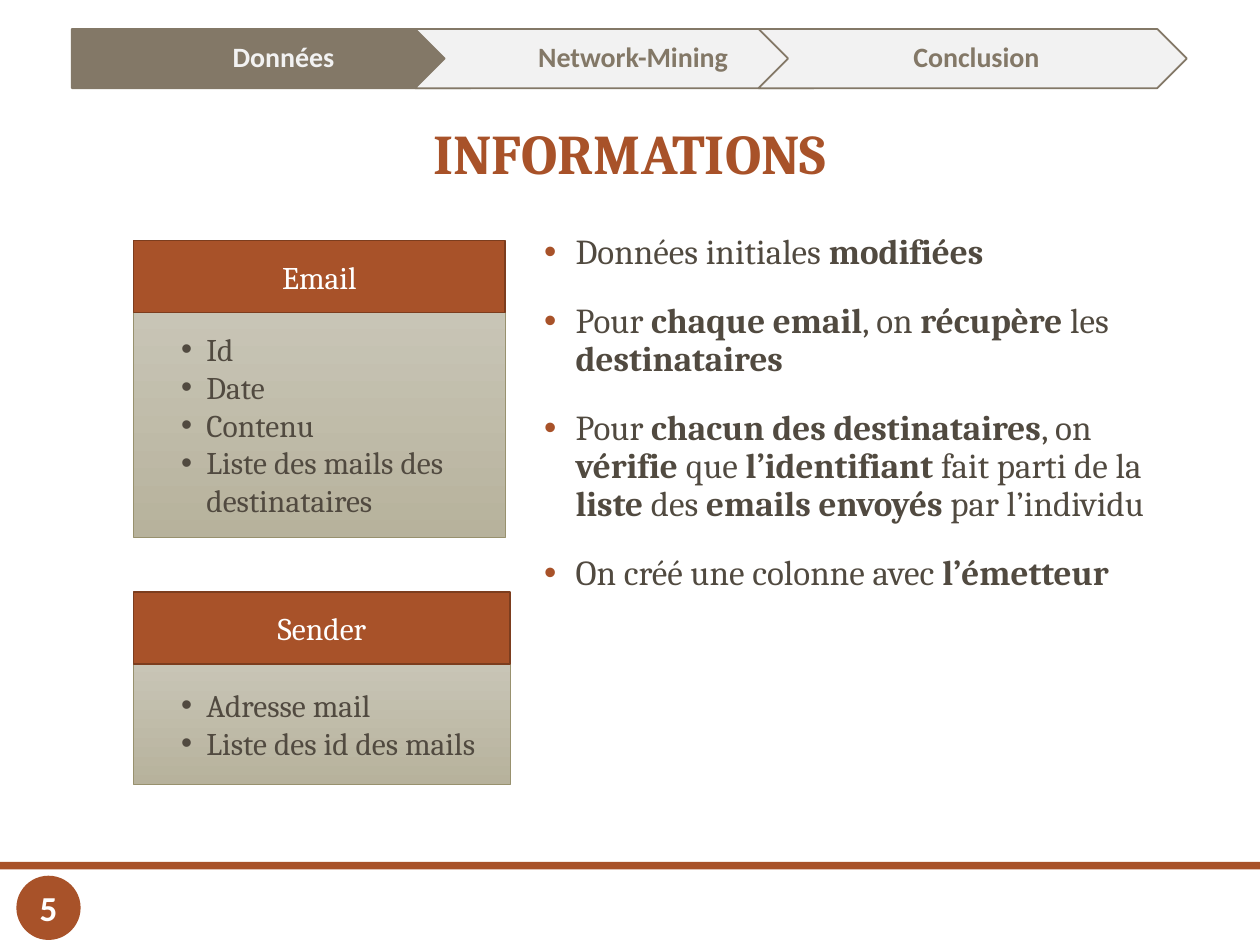
from dataclasses import dataclass

from lxml import etree
from pptx import Presentation
from pptx.dml.color import RGBColor
from pptx.enum.shapes import MSO_SHAPE
from pptx.enum.text import MSO_ANCHOR, PP_ALIGN
from pptx.oxml.ns import qn
from pptx.util import Inches, Pt

RECT, OVAL = MSO_SHAPE.RECTANGLE, MSO_SHAPE.OVAL
PENTAGON, CHEVRON = MSO_SHAPE.PENTAGON, MSO_SHAPE.CHEVRON
TOP, MIDDLE = MSO_ANCHOR.TOP, MSO_ANCHOR.MIDDLE
LEFT, CENTER = PP_ALIGN.LEFT, PP_ALIGN.CENTER
COLS, ROWS = 100, 75


@dataclass(frozen=True)
class Theme:
    accent: str = "A85229"
    accent_edge: str = "7C3D1E"
    ink: str = "514A40"
    taupe: str = "837867"
    pale: str = "F2F2F2"
    white: str = "FFFFFF"
    card_top: str = "C8C5B6"
    card_bottom: str = "B7B29C"
    card_edge: str = "98916E"
    serif: str = "Cambria"
    sans: str = "Calibri"
    title: int = 32
    body: int = 20
    card: int = 18
    nav: int = 16


T = Theme()


@dataclass(frozen=True)
class Box:
    col: float
    row: float
    cols: float
    rows: float


@dataclass(frozen=True)
class Style:
    name: str
    size: int
    color: str
    bold: bool = False
    align: PP_ALIGN = CENTER
    anchor: MSO_ANCHOR = MIDDLE
    spacing: float = 1.0
    before: int = 0
    bullet: str = ""
    margin: float = 0
    hanging: float = 0
    insets: tuple[float, ...] = (0.1, 0.05, 0.1, 0.05)


@dataclass(frozen=True)
class Step:
    label: str
    kind: MSO_SHAPE
    fill: str
    color: str
    text_shift: float
    text_cols: float
    inset: float


@dataclass(frozen=True)
class Card:
    title: str
    row: float
    cols: float
    body_rows: float
    items: tuple[str, ...]


TITLE = Style(T.serif, T.title, T.accent, bold=True, anchor=TOP)
NUMBER = Style(T.sans, T.body, T.white, bold=True, insets=(0, 0, 0, 0))
HEADER = Style(T.serif, T.card, T.white)
ITEM = Style(T.serif, T.card, T.ink, align=LEFT, bullet=T.ink,
             margin=0.48, hanging=0.2)
POINT = Style(T.serif, T.body, T.ink, align=LEFT, anchor=TOP, spacing=0.9,
              before=18, bullet=T.accent, margin=0.3, hanging=0.25)

STEPS = (
    Step("Données", PENTAGON, T.taupe, T.pale, 0, 32.9, 0.09),
    Step("Network-Mining", CHEVRON, T.pale, T.taupe, 2.35, 29.4, 0.07),
    Step("Conclusion", CHEVRON, T.pale, T.taupe, 2.35, 29.4, 0.07),
)
CARDS = (
    Card("Email", 19.1, 29.5, 18,
         ("Id", "Date", "Contenu", "Liste des mails des destinataires")),
    Card("Sender", 47, 29.9, 9.7, ("Adresse mail", "Liste des id des mails")),
)
POINTS = (
    "Données initiales *modifiées*",
    "Pour *chaque email*, on *récupère* les *destinataires*",
    "Pour *chacun des destinataires*, on *vérifie* que *l’identifiant* "
    "fait parti de la *liste* des *emails envoyés *par l’individu",
    "On créé une colonne avec *l’émetteur*",
)


def rgb(color: str) -> RGBColor:
    return RGBColor.from_string(color)


def place(box: Box) -> tuple[int, ...]:
    return (int(prs.slide_width * box.col / COLS),
            int(prs.slide_height * box.row / ROWS),
            int(prs.slide_width * box.cols / COLS),
            int(prs.slide_height * box.rows / ROWS))


def add_bullet(p, style: Style) -> None:
    pPr = p._p.get_or_add_pPr()
    pPr.set("marL", str(Inches(style.margin)))
    pPr.set("indent", str(-Inches(style.hanging)))
    clr = etree.SubElement(pPr, qn("a:buClr"))
    etree.SubElement(clr, qn("a:srgbClr"), val=style.bullet)
    etree.SubElement(pPr, qn("a:buFont"), typeface="Arial")
    etree.SubElement(pPr, qn("a:buChar"), char="•")


def write(sp, lines: tuple[str, ...], style: Style) -> None:
    tf = sp.text_frame
    left, top, right, bottom = map(Inches, style.insets)
    frame = dict(word_wrap=True, vertical_anchor=style.anchor, margin_left=left,
                 margin_top=top, margin_right=right, margin_bottom=bottom)
    for key, value in frame.items():
        setattr(tf, key, value)
    for i, line in enumerate(lines):
        p = tf.add_paragraph() if i else tf.paragraphs[0]
        if style.bullet:
            add_bullet(p, style)
        layout = dict(alignment=style.align, line_spacing=style.spacing,
                      space_before=Pt(style.before if i else 0))
        for key, value in layout.items():
            setattr(p, key, value)
        for j, part in enumerate(line.split("*")):
            if part:
                r = p.add_run()
                r.text = part
                font = dict(name=style.name, size=Pt(style.size),
                            bold=style.bold or j % 2 == 1)
                for key, value in font.items():
                    setattr(r.font, key, value)
                r.font.color.rgb = rgb(style.color)


def add_shape(kind: MSO_SHAPE, box: Box, fill: tuple[str, ...],
              edge: str = "", width: float = 1):
    sp = s.shapes.add_shape(kind, *place(box))
    sp.shadow.inherit = False
    if len(fill) > 1:
        sp.fill.gradient()
        sp.fill.gradient_angle = 270
        for stop, color in zip(sp.fill.gradient_stops, fill):
            stop.color.rgb = rgb(color)
    else:
        sp.fill.solid()
        sp.fill.fore_color.rgb = rgb(fill[0])
    if edge:
        sp.line.color.rgb = rgb(edge)
        sp.line.width = Pt(width)
    else:
        sp.line.fill.background()
    return sp


def add_text(box: Box, lines: tuple[str, ...], style: Style) -> None:
    write(s.shapes.add_textbox(*place(box)), lines, style)


def add_card(card: Card) -> None:
    body = Box(10.6, card.row + 5.6, card.cols, card.body_rows)
    sp = add_shape(RECT, body, (T.card_top, T.card_bottom), T.card_edge, 0.5)
    write(sp, card.items, ITEM)
    header = Box(10.6, card.row, card.cols, 5.7)
    sp = add_shape(RECT, header, (T.accent,), T.accent_edge)
    write(sp, (card.title,), HEADER)


def add_step(index: int, step: Step) -> None:
    col = 5.7 + 27.25 * index
    add_shape(step.kind, Box(col, 2.3, 34, 4.7), (step.fill,), T.taupe)
    style = Style(T.sans, T.nav, step.color, bold=True, spacing=0.9,
                  insets=(step.inset, 0.05, 0.02, 0.05))
    add_text(Box(col + step.text_shift, 2.3, step.text_cols, 4.7),
             (step.label,), style)


prs = Presentation()
prs.slide_width, prs.slide_height = Inches(10), Inches(7.5)
s = prs.slides.add_slide(prs.slide_layouts[6])

add_shape(RECT, Box(0, 68.4, COLS, 0.6), (T.accent,))
add_text(Box(17.6, 8.9, 64.8, 6.4), ("INFORMATIONS",), TITLE)
write(add_shape(OVAL, Box(1.3, 69.5, 5.1, 5.1), (T.accent,)), ("5",), NUMBER)
for card in CARDS:
    add_card(card)
add_text(Box(41.7, 18.1, 52.6, 38.8), POINTS, POINT)
for index, step in enumerate(STEPS):
    add_step(index, step)

prs.save("out.pptx")
